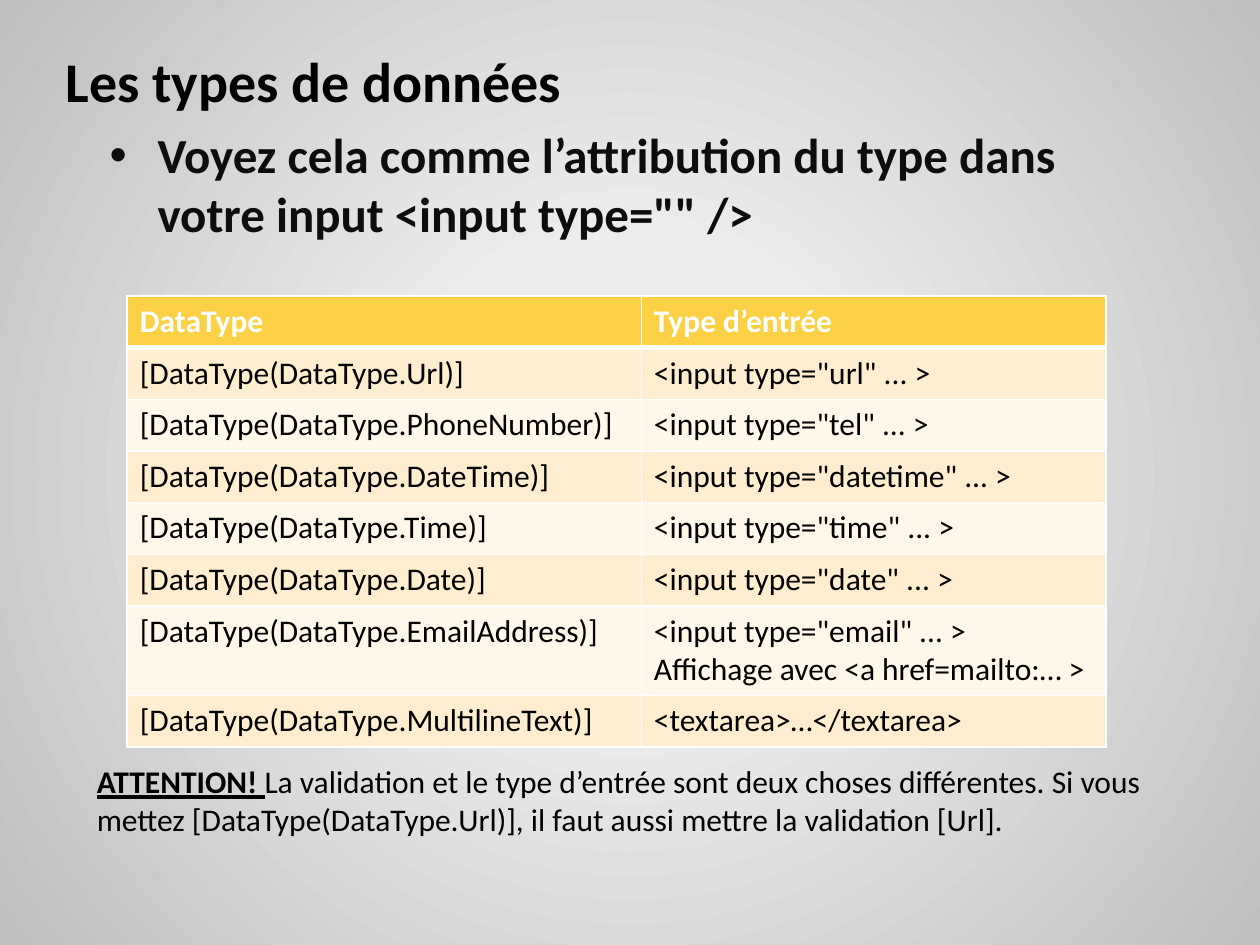
"""Build the slide about data types and their input types."""
from pptx import Presentation
from pptx import util as u
from pptx.dml.color import RGBColor
from pptx.enum import text
from pptx.oxml import parse_xml
from pptx.oxml.ns import nsdecls, qn
from pptx.oxml.xmlchemy import OxmlElement

BACKGROUND_STOPS = [(0, "F2F2F2"), (30, "ECECEC"), (100, "BFBFBF")]
HEADER_FILL = "FDD146"
BAND_FILLS = ["FEEECF", "FFF7E9"]
COLUMN_WIDTHS = [4.08, 3.69]
ROW_HEIGHT = 0.41
ROWS = [
    ("DataType", "Type d’entrée"),
    ("[DataType(DataType.Url)]", '<input type="url" ... >'),
    ("[DataType(DataType.PhoneNumber)]", '<input type="tel" ... >'),
    ("[DataType(DataType.DateTime)]", '<input type="datetime" ... >'),
    ("[DataType(DataType.Time)]", '<input type="time" ... >'),
    ("[DataType(DataType.Date)]", '<input type="date" ... >'),
    ("[DataType(DataType.EmailAddress)]",
     '<input type="email" ... >\nAffichage avec <a href=mailto:… >'),
    ("[DataType(DataType.MultilineText)]", "<textarea>…</textarea>"),
]


def color(value):
    """Turn a hex string into a colour."""
    return RGBColor.from_string(value)


def format_font(font, size=18, fill="000000", **values):
    """Apply the common font and the given format values."""
    values = {"name": "Calibri", "size": u.Pt(size), "bold": False, **values}
    for name, value in values.items():
        setattr(font, name, value)
    font.color.rgb = color(fill)


def place(shape, left, top, width, height):
    """Move and size a shape in inches."""
    box = {"left": left, "top": top, "width": width, "height": height}
    for name, value in box.items():
        setattr(shape, name, u.Inches(value))


def set_background(slide):
    """Give the slide a radial grey gradient."""
    slide.background.fill.solid()
    properties = slide.element.find(".//" + qn("p:bgPr"))
    stops = "".join(
        f'<a:gs pos="{position * 1000}"><a:srgbClr val="{value}"/></a:gs>'
        for position, value in BACKGROUND_STOPS)
    gradient = parse_xml(
        f'<a:gradFill {nsdecls("a")} rotWithShape="1"><a:gsLst>{stops}</a:gsLst>'
        '<a:path path="circle"><a:fillToRect l="50000" t="50000" r="50000" '
        'b="50000"/></a:path></a:gradFill>')
    properties.replace(properties[0], gradient)


def fill_placeholder(shape, box, words, anchor, **font_values):
    """Place a placeholder and write one left-aligned paragraph."""
    place(shape, *box)
    frame = shape.text_frame
    values = {"text": words, "word_wrap": True, "vertical_anchor": anchor,
              "auto_size": text.MSO_AUTO_SIZE.NONE}
    for name, value in values.items():
        setattr(frame, name, value)
    paragraph = frame.paragraphs[0]
    paragraph.alignment = text.PP_ALIGN.LEFT
    paragraph.space_before = u.Pt(0)
    format_font(paragraph.runs[0].font, bold=True, **font_values)
    return paragraph


def add_bullet(paragraph, left, hanging):
    """Give a second-level paragraph a hanging round bullet."""
    paragraph.level = 1
    properties = paragraph._p.get_or_add_pPr()
    properties.set("marL", str(u.Inches(left)))
    properties.set("indent", str(-u.Inches(hanging)))
    for tag, name, value in (("a:buFont", "typeface", "Arial"),
                             ("a:buChar", "char", "•")):
        element = OxmlElement(tag)
        element.set(name, value)
        properties.append(element)


def set_borders(cell, top, bottom):
    """Draw white cell borders with the given top and bottom widths."""
    properties = cell._tc.get_or_add_tcPr()
    for side, width in (("L", 1), ("R", 1), ("T", top), ("B", bottom)):
        properties.append(parse_xml(
            f'<a:ln{side} {nsdecls("a")} w="{u.Pt(width)}"><a:solidFill>'
            f'<a:srgbClr val="FFFFFF"/></a:solidFill></a:ln{side}>'))


def format_cell(cell, words, row):
    """Write and colour one cell according to its row."""
    header = row == 0
    cell.text = words
    set_borders(cell, 3 if row == 1 else 1, 3 if header else 1)
    cell.fill.solid()
    cell.fill.fore_color.rgb = color(
        HEADER_FILL if header else BAND_FILLS[(row - 1) % 2])
    for paragraph in cell.text_frame.paragraphs:
        format_font(paragraph.runs[0].font, bold=header,
                    fill="FFFFFF" if header else "000000")


def add_type_table(slide, left, top):
    """Add the table of data types and input types."""
    table = slide.shapes.add_table(
        len(ROWS), len(COLUMN_WIDTHS), u.Inches(left), u.Inches(top),
        u.Inches(sum(COLUMN_WIDTHS)), u.Inches(ROW_HEIGHT * len(ROWS))).table
    for column, width in zip(table.columns, COLUMN_WIDTHS):
        column.width = u.Inches(width)
    for row, entries in enumerate(ROWS):
        table.rows[row].height = u.Inches(ROW_HEIGHT)
        for column, words in enumerate(entries):
            format_cell(table.cell(row, column), words, row)


def add_note(slide, box, runs):
    """Add a text box of differently formatted runs."""
    frame = slide.shapes.add_textbox(*map(u.Inches, box)).text_frame
    frame.word_wrap = True
    frame.auto_size = text.MSO_AUTO_SIZE.SHAPE_TO_FIT_TEXT
    for words, values in runs:
        run = frame.paragraphs[0].add_run()
        run.text = words
        format_font(run.font, **values)


def main():
    """Build and save the slide."""
    presentation = Presentation()
    presentation.slide_width = u.Inches(10)
    presentation.slide_height = u.Inches(7.5)
    slide = presentation.slides.add_slide(presentation.slide_layouts[0])
    set_background(slide)
    fill_placeholder(slide.shapes.title, (0.42, -0.17, 8.5, 1.61),
                     "Les types de données", text.MSO_ANCHOR.MIDDLE, size=32)
    point = fill_placeholder(
        slide.placeholders[1], (0.27, 0.94, 8.5, 6.47),
        'Voyez cela comme l’attribution du type dans votre input <input type="" />',
        text.MSO_ANCHOR.TOP, size=28, fill="0D0D0D")
    add_bullet(point, 0.88, 0.38)
    add_type_table(slide, 1.01, 2.35)
    add_note(slide, (0.67, 6, 8.58, 0.71), [
        ("ATTENTION! ", {"bold": True, "underline": True}),
        ("La validation et le type d’entrée sont deux choses différentes. "
         "Si vous mettez [DataType(DataType.Url)], il faut aussi mettre la "
         "validation [Url].", {}),
    ])
    presentation.save("out.pptx")


if __name__ == "__main__":
    main()
